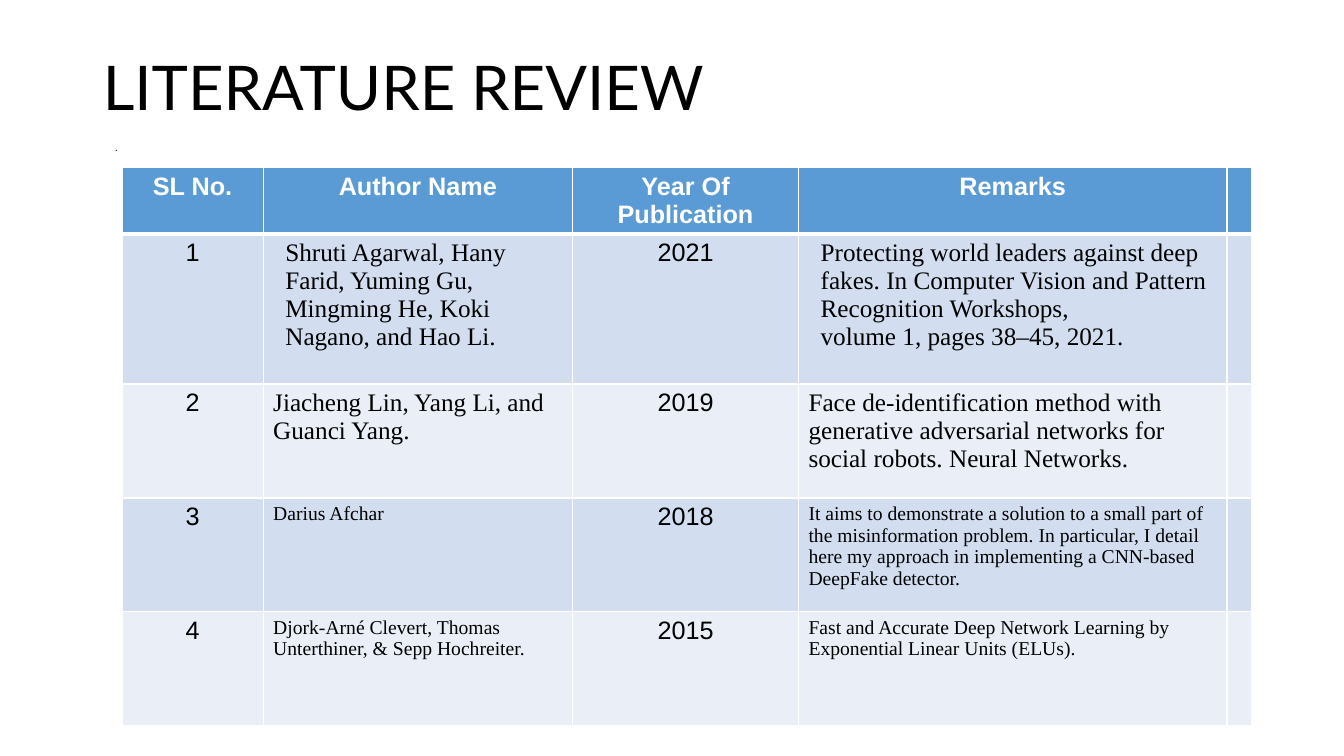
from pptx import Presentation
from pptx.dml.color import RGBColor
from pptx.enum.text import MSO_ANCHOR, MSO_AUTO_SIZE, PP_ALIGN
from pptx.oxml import parse_xml
from pptx.oxml.ns import nsdecls
from pptx.util import Inches, Pt

TITLE = "LITERATURE REVIEW"
BODY = "."
HEADERS = ["SL No.", "Author Name", "Year Of Publication", "Remarks", ""]
STUDIES = [
    (18, 0.12, "1",
     ["Shruti Agarwal, Hany Farid, Yuming Gu, Mingming He, Koki", "Nagano, and Hao Li."],
     "2021",
     ["Protecting world leaders against deep",
      "fakes. In Computer Vision and Pattern Recognition Workshops,",
      "volume 1, pages 38–45, 2021."]),
    (18, 0, "2", ["Jiacheng Lin, Yang Li, and Guanci Yang."], "2019",
     ["Face de-identification method with generative adversarial networks "
      "for social robots. Neural Networks."]),
    (14, 0, "3", ["Darius Afchar"], "2018",
     ["It aims to demonstrate a solution to a small part of the misinformation problem. "
      "In particular, I detail here my approach in implementing a CNN-based DeepFake detector."]),
    (14, 0, "4", ["Djork-Arné Clevert, Thomas Unterthiner, & Sepp Hochreiter."], "2015",
     ["Fast and Accurate Deep Network Learning by Exponential Linear Units (ELUs)."]),
]
COLUMNS = [1.4, 3.07, 2.24, 4.25, 0.23]
ROWS = [0.66, 1.49, 1.13, 1.13, 1.13]
BLUE, BANDS = "5B9BD5", ["D2DEEF", "EAEFF7"]
BLACK, WHITE = "000000", "FFFFFF"
SANS, SERIF = "Arial", "Times New Roman"


def colour(value):
    return RGBColor.from_string(value)


def add_span(para, text, size, font, ink=BLACK, bold=False):
    span = para.add_run()
    span.text = text
    span.font.size = Pt(size)
    span.font.name = font
    span.font.bold = bold
    span.font.color.rgb = colour(ink)


def place(box, left, top, width, height, anchor):
    box.left, box.top = Inches(left), Inches(top)
    box.width, box.height = Inches(width), Inches(height)
    box.text_frame.auto_size = MSO_AUTO_SIZE.NONE
    box.text_frame.vertical_anchor = anchor
    para = box.text_frame.paragraphs[0]
    para.alignment = PP_ALIGN.LEFT
    para.line_spacing = 0.9
    return para


def style_cell(cell, fill, bottom):
    cell.fill.solid()
    cell.fill.fore_color.rgb = colour(fill)
    properties = cell._tc.get_or_add_tcPr()
    for index, side in enumerate("LRTB"):
        points = bottom if side == "B" else 1
        properties.insert(index, parse_xml(
            f'<a:ln{side} {nsdecls("a")} w="{Pt(points)}"><a:solidFill>'
            f'<a:srgbClr val="{WHITE}"/></a:solidFill></a:ln{side}>'))


def write_cell(cell, lines, size, font, ink, bold, align, indent):
    frame = cell.text_frame
    for index, line in enumerate(lines):
        para = frame.add_paragraph() if index else frame.paragraphs[0]
        para.alignment = align
        if indent:
            para._p.get_or_add_pPr().set("marL", str(Inches(indent)))
        add_span(para, line, size, font, ink, bold)


def fill_table(table):
    for column, width in zip(table.columns, COLUMNS):
        column.width = Inches(width)
    for row, height in zip(table.rows, ROWS):
        row.height = Inches(height)
    for cell, header in zip(table.rows[0].cells, HEADERS):
        style_cell(cell, BLUE, 3)
        if header:
            write_cell(cell, [header], 18, SANS, WHITE, True, PP_ALIGN.CENTER, 0)
    for number, (size, indent, serial, authors, year, remarks) in enumerate(STUDIES):
        cells = table.rows[number + 1].cells
        for cell in cells:
            style_cell(cell, BANDS[number % 2], 1)
        for column, text in ((0, serial), (2, year)):
            write_cell(cells[column], [text], 18, SANS, BLACK, False, PP_ALIGN.CENTER, 0)
        for column, lines in ((1, authors), (3, remarks)):
            write_cell(cells[column], lines, size, SERIF, BLACK, False, PP_ALIGN.LEFT, indent)


def main():
    deck = Presentation()
    deck.slide_width, deck.slide_height = Inches(13.33), Inches(7.5)
    page = deck.slides.add_slide(deck.slide_layouts[1])

    heading = place(page.shapes.title, 0.92, 0.4, 11.5, 1, MSO_ANCHOR.MIDDLE)
    add_span(heading, TITLE, 44, "Lato")

    para = place(page.placeholders[1], 0.92, 1.36, 11.5, 5.4, MSO_ANCHOR.TOP)
    para.space_before = Pt(10)
    properties = para._p.get_or_add_pPr()
    properties.set("marL", str(Inches(0.5)))
    properties.set("indent", str(Inches(-0.38)))
    properties.append(parse_xml(f'<a:buNone {nsdecls("a")}/>'))
    add_span(para, BODY, 8, SANS)

    frame = page.shapes.add_table(len(ROWS), len(COLUMNS), Inches(1.21), Inches(1.66),
                                  Inches(sum(COLUMNS)), Inches(sum(ROWS)))
    fill_table(frame.table)
    deck.save("out.pptx")


if __name__ == "__main__":
    main()
